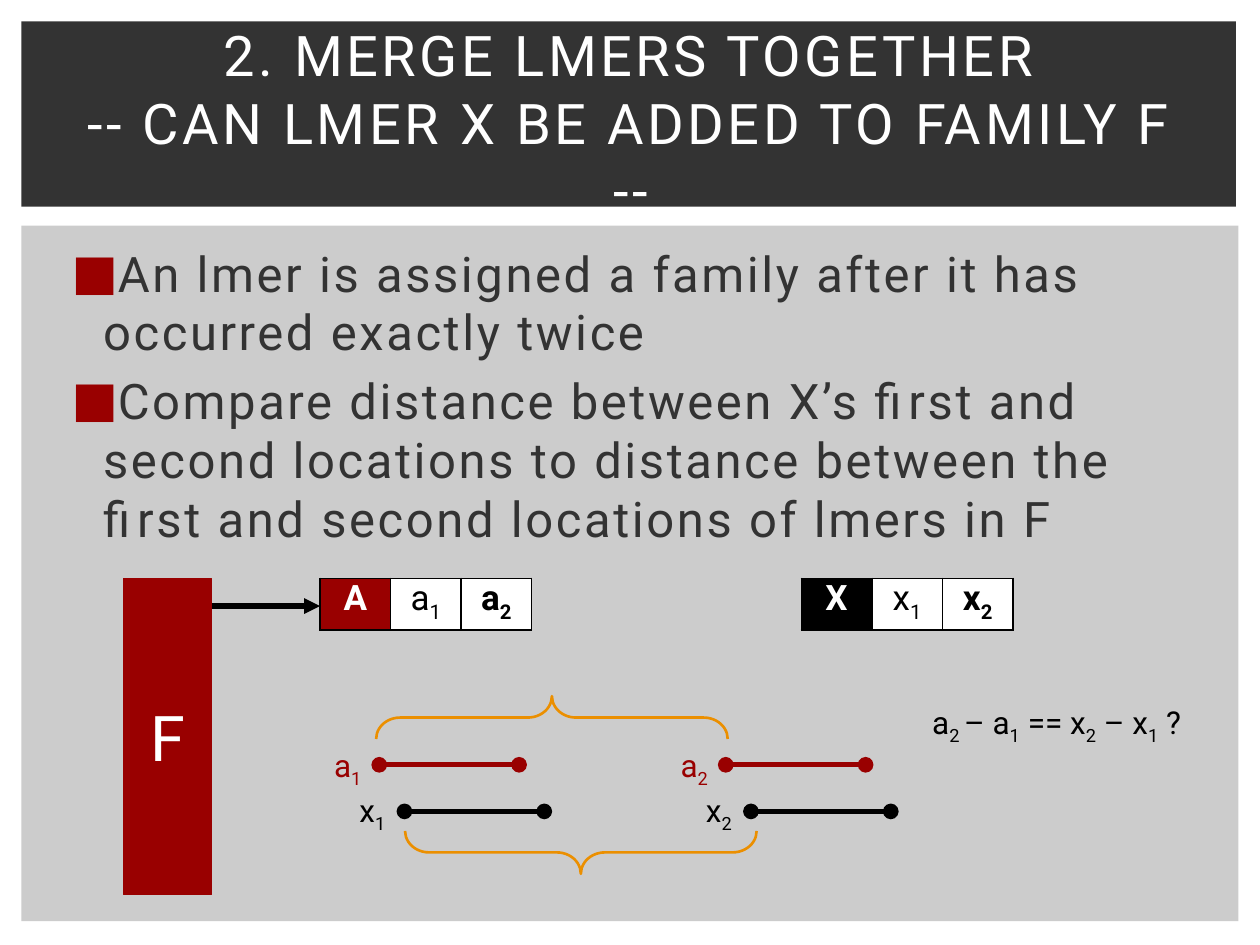
import pptx
import pptx.dml.color
import pptx.enum.shapes
import pptx.enum.text
import pptx.oxml
import pptx.oxml.ns
import pptx.util
from pptx.util import Inches, Pt

SHAPE = pptx.enum.shapes.MSO_SHAPE
ALIGN = pptx.enum.text.PP_ALIGN
MIDDLE = pptx.enum.text.MSO_ANCHOR.MIDDLE
RED, BLACK, WHITE, DARK, GREY, ORANGE = (
    "990000", "000000", "FFFFFF", "333333", "CCCCCC", "EB8F00")

# Content: in each tuple of text parts, every second part is a subscript
TITLE = ["2. MERGE LMERS TOGETHER", "-- CAN LMER X BE ADDED TO FAMILY F --"]
BULLETS = [
    "An lmer is assigned a family after it has occurred exactly twice",
    "Compare distance between X’s first and second locations to distance "
    "between the first and second locations of lmers in F",
]
QUESTION = ("a", "2 ", "– a", "1", " == x", "2", " – x", "1", " ?")
# left, letter, colour
RECORDS = [(2.54, "A", RED), (6.36, "X", BLACK)]
# letter, colour, label left, label top, label width, line start, line y
LOCATIONS = [("a", RED, 2.54, 5.87, 0.44, 3.01, 6.07),
             ("x", BLACK, 2.75, 6.23, 0.41, 3.21, 6.44)]
SECOND_OFFSET, LMER_LENGTH = 2.75, 1.11
# left, top, rotation
BRACES = [(4.44, 5.37, 270), (4.21, 4.3, 90)]


def rgb(value):
    return pptx.dml.color.RGBColor.from_string(value)


def apply(target, values):
    for name, value in values.items():
        setattr(target, name, value)


def xml(tag, attributes="", inner=""):
    return pptx.oxml.parse_xml(
        f'<a:{tag} {pptx.oxml.ns.nsdecls("a")} {attributes}>{inner}</a:{tag}>')


def add_runs(paragraph, parts, color, size, bold=False, spacing=0):
    for index, part in enumerate(parts):
        run = paragraph.add_run()
        run.text = part
        apply(run.font, {"name": "Roboto", "size": Pt(size), "bold": bold})
        run.font.color.rgb = rgb(color)
        properties = run._r.get_or_add_rPr()
        if spacing:
            properties.set("spc", str(int(spacing * 100)))
        if index % 2:
            properties.set("baseline", "-25000")


def add_text(slide, box, wrap=True):
    frame = slide.shapes.add_textbox(*map(Inches, box)).text_frame
    frame.word_wrap = wrap
    return frame


def add_block(slide, kind, box, fill=None, line=None, width=1):
    block = slide.shapes.add_shape(kind, *map(Inches, box))
    block.shadow.inherit = False
    if fill:
        block.fill.solid()
        block.fill.fore_color.rgb = rgb(fill)
    else:
        block.fill.background()
    if line:
        block.line.color.rgb = rgb(line)
        block.line.width = Pt(width)
    else:
        block.line.fill.background()
    return block


def add_line(slide, x1, x2, y, color, **ends):
    line = slide.shapes.add_connector(
        pptx.enum.shapes.MSO_CONNECTOR.STRAIGHT, *map(Inches, (x1, y, x2, y)))
    line.line.color.rgb = rgb(color)
    line.line.width = Pt(3)
    for end, kind in ends.items():
        line.line._get_or_add_ln().append(xml(end, f'type="{kind}"'))
    line._element.spPr.append(xml("effectLst"))


def add_record(slide, left, letter, color):
    table = slide.shapes.add_table(
        1, 3, *map(Inches, (left, 4.59, 1.68, 0.41))).table
    small = letter.lower()
    cells = [((letter,), color, WHITE, True),
             ((small, "1"), WHITE, BLACK, False),
             ((small, "2"), WHITE, BLACK, True)]
    for cell, (parts, fill, ink, bold) in zip(table.iter_cells(), cells):
        apply(cell, {f"margin_{side}": 0
                     for side in ("left", "right", "top", "bottom")})
        paragraph = cell.text_frame.paragraphs[0]
        paragraph.alignment = ALIGN.CENTER
        add_runs(paragraph, parts, ink, 20, bold)
        properties = cell._tc.get_or_add_tcPr()
        for edge in ("lnL", "lnR", "lnT", "lnB"):
            properties.append(xml(
                edge, 'w="12700"',
                f'<a:solidFill><a:srgbClr val="{BLACK}"/></a:solidFill>'))
        cell.fill.solid()
        cell.fill.fore_color.rgb = rgb(fill)


def main():
    deck = pptx.Presentation()
    apply(deck, {"slide_width": Inches(10), "slide_height": Inches(7.5)})
    slide = deck.slides.add_slide(deck.slide_layouts[6])

    # Background panels
    add_block(slide, SHAPE.RECTANGLE, (0.17, 1.79, 9.66, 5.52), GREY)
    add_block(slide, SHAPE.RECTANGLE, (0.17, 0.17, 9.64, 1.47), DARK)

    # Bullets
    body = add_text(slide, (0.42, 1.88, 9.19, 4.82))
    for index, bullet in enumerate(BULLETS):
        paragraph = body.add_paragraph() if index else body.paragraphs[0]
        paragraph.space_before = Pt(5.6)
        properties = paragraph._p.get_or_add_pPr()
        properties.set("marL", str(Inches(0.3)))
        properties.set("indent", str(Inches(-0.25)))
        properties.append(xml("buClr", inner=f'<a:srgbClr val="{RED}"/>'))
        properties.append(xml("buFont", 'typeface="Roboto"'))
        properties.append(xml("buChar", 'char="■"'))
        add_runs(paragraph, (bullet,), DARK, 28, spacing=1.5)

    # Title
    title = add_text(slide, (0.42, 0.39, 9.17, 1.15))
    title.vertical_anchor = MIDDLE
    heading = title.paragraphs[0]
    heading.alignment = ALIGN.CENTER
    for index, line in enumerate(TITLE):
        if index:
            heading.add_line_break()
        add_runs(heading, (line,), WHITE, 32, spacing=2)

    # Family F and the records of A and X
    family = add_block(slide, SHAPE.RECTANGLE, (0.98, 4.59, 0.7, 2.51),
                       RED, RED, 0.79)
    family.text_frame.vertical_anchor = MIDDLE
    letter = family.text_frame.paragraphs[0]
    letter.alignment = ALIGN.CENTER
    add_runs(letter, ("F",), WHITE, 36)
    for record in RECORDS:
        add_record(slide, *record)
    add_line(slide, 1.68, 2.54, 4.81, BLACK, tailEnd="triangle")

    # First and second locations of each lmer
    for name, color, left, top, width, start, y in LOCATIONS:
        for index in range(2):
            shift = index * SECOND_OFFSET
            add_line(slide, start + shift, start + shift + LMER_LENGTH, y,
                     color, headEnd="oval", tailEnd="oval")
            label = add_text(slide, (left + shift, top, width, 0.4), False)
            label.paragraphs[0].alignment = ALIGN.CENTER
            add_runs(label.paragraphs[0], (name, str(index + 1)), color, 18)

    # Distance braces and the question
    for left, top, rotation in BRACES:
        brace = add_block(slide, SHAPE.LEFT_BRACE, (left, top, 0.34, 2.79),
                          line=ORANGE, width=1.5)
        brace.rotation = rotation
        brace.adjustments[0] = 0.56
    question = add_text(slide, (7.3, 5.53, 2.29, 0.4))
    add_runs(question.paragraphs[0], QUESTION, BLACK, 18)

    deck.save("out.pptx")


if __name__ == "__main__":
    main()
